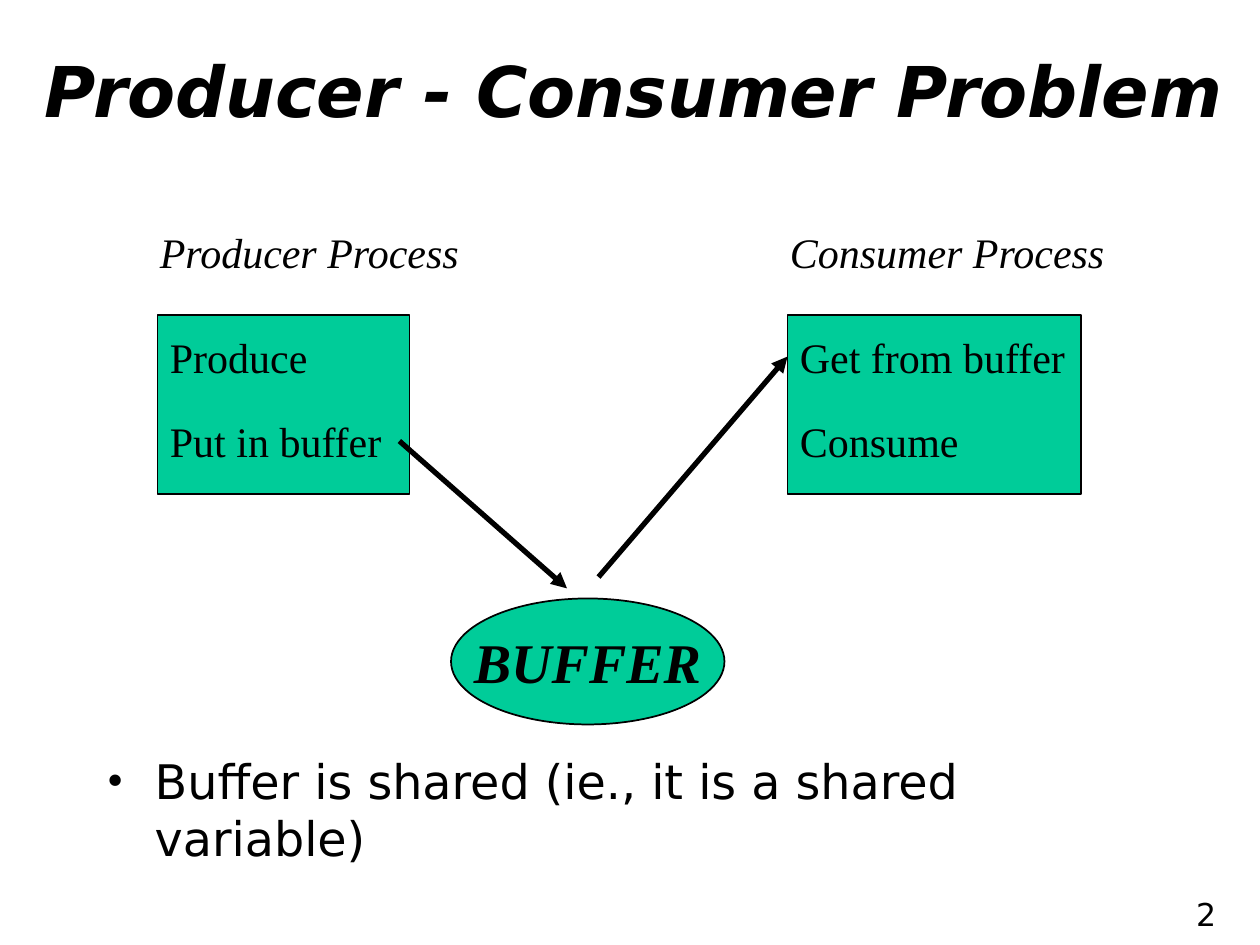
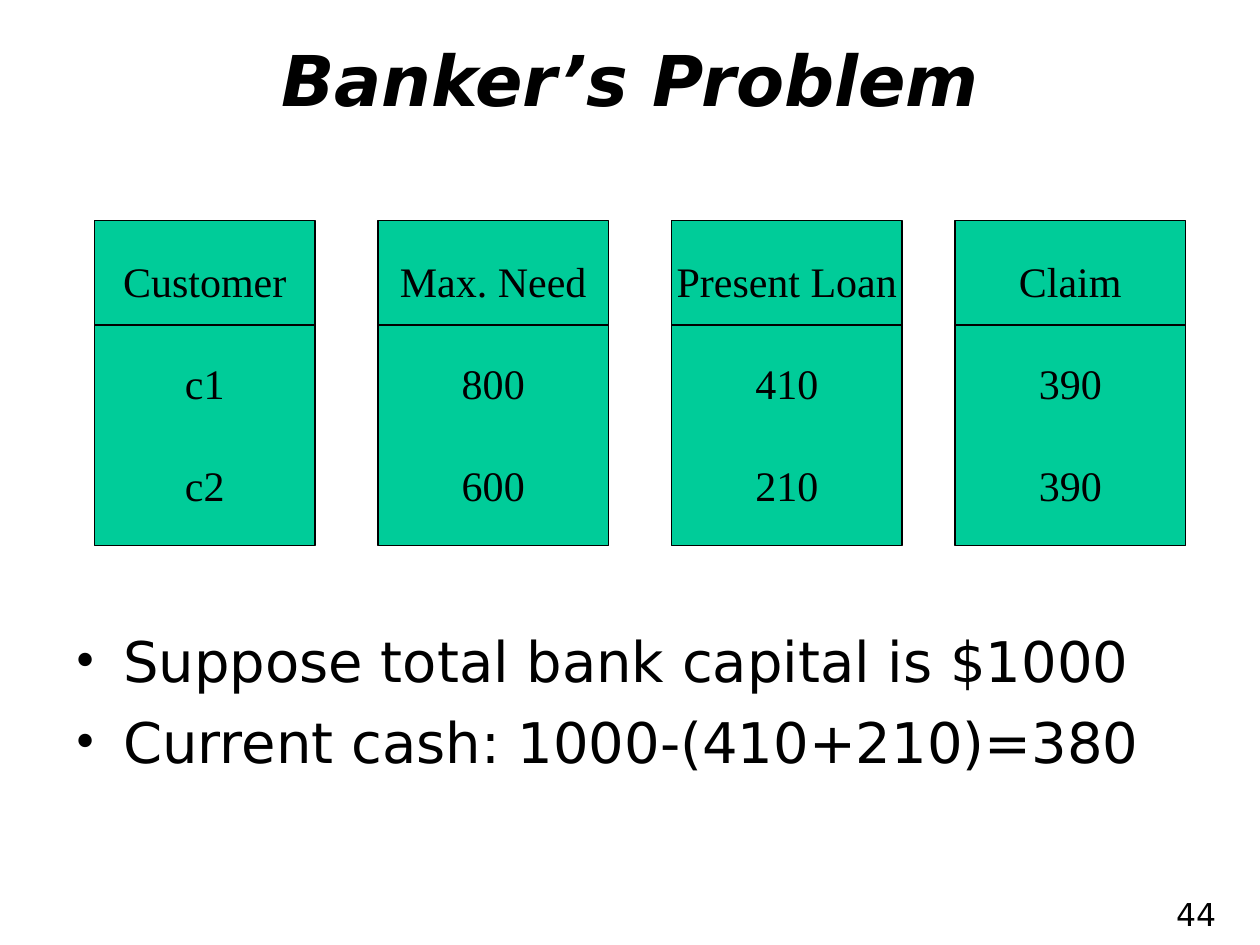
import pptx
import pptx.util
import pptx.dml.color
import pptx.enum.shapes
import pptx.enum.text
import pptx.oxml
import pptx.oxml.ns
import lxml.etree

Inches = pptx.util.Inches
Pt = pptx.util.Pt
Align = pptx.enum.text.PP_ALIGN
Anchor = pptx.enum.text.MSO_ANCHOR
Shape = pptx.enum.shapes.MSO_SHAPE

COLOURS = {"ink": "000000", "panel": "00CC99", "paper": "FFFFFF"}
SANS, SERIF = "DejaVu Sans", "Times New Roman"
TITLE_ONLY = 5
NUMBER_BOX = (7.67, 7, 2.08, 0.5)


def colour(name):
    """Return the named colour."""
    return pptx.dml.color.RGBColor.from_string(COLOURS[name])


def inches(box):
    """Turn a tuple of inches into lengths."""
    return [Inches(value) for value in box]


def add_child(parent, tag, **attributes):
    """Append a drawing element to an XML parent."""
    child = lxml.etree.SubElement(parent, pptx.oxml.ns.qn(tag))
    for key, value in attributes.items():
        child.set(key, value)
    return child


def write(shape, lines, size, font, align=Align.LEFT, anchor=Anchor.TOP,
          wrap=True, space=0, bold=False, italic=False):
    """Fill a shape with one paragraph per line and return its paragraphs."""
    frame = shape.text_frame
    frame.auto_size = pptx.enum.text.MSO_AUTO_SIZE.NONE
    frame.word_wrap = wrap
    frame.vertical_anchor = anchor
    for index, line in enumerate(lines):
        para = frame.add_paragraph() if index else frame.paragraphs[0]
        para.alignment = align
        para.space_before = Pt(space if index else 0)
        span = para.add_run()
        span.text = line
        span.font.name = font
        span.font.size = Pt(size)
        span.font.bold = bold
        span.font.italic = italic
        span.font.color.rgb = colour("ink")
    return frame.paragraphs


def add_text(shapes, box, lines, size, font, **style):
    """Add a text box and return its paragraphs."""
    return write(shapes.add_textbox(*inches(box)), lines, size, font, **style)


def add_panel(shapes, box, kind=Shape.RECTANGLE):
    """Add a green outlined shape."""
    panel = shapes.add_shape(kind, *inches(box))
    panel.shadow.inherit = False
    panel.fill.solid()
    panel.fill.fore_color.rgb = colour("panel")
    panel.line.color.rgb = colour("ink")
    panel.line.width = Pt(1)
    return panel


def add_line(shapes, start, end, width=1, arrow=False):
    """Add a straight line, with an arrowhead at its end if asked."""
    line = shapes.add_connector(pptx.enum.shapes.MSO_CONNECTOR.STRAIGHT,
                                *inches(start + end))
    line.line.color.rgb = colour("ink")
    line.line.width = Pt(width)
    if arrow:
        add_child(line.line._get_or_add_ln(), "a:tailEnd", type="triangle")
    add_child(line._element.spPr, "a:effectLst")


def add_bullets(page, box, lines, size):
    """Add a bulleted list with a hanging indent."""
    for para in add_text(page.shapes, box, lines, size, SANS, space=8):
        properties = para._p.get_or_add_pPr()
        properties.set("marL", str(Inches(0.38)))
        properties.set("indent", str(-Inches(0.38)))
        add_child(properties, "a:buFont", typeface=SERIF)
        add_child(properties, "a:buChar", char="•")


def add_page(deck, title, title_box, number, align=Align.CENTER):
    """Add a slide with its title and page number."""
    page = deck.slides.add_slide(deck.slide_layouts[TITLE_ONLY])
    page.background.fill.solid()
    page.background.fill.fore_color.rgb = colour("paper")
    heading = page.shapes.title
    heading.left, heading.top, heading.width, heading.height = inches(title_box)
    write(heading, [title], 40, SANS, align=align, anchor=Anchor.MIDDLE,
          bold=True, italic=True)
    add_text(page.shapes, NUMBER_BOX, [number], 18, SANS, align=Align.RIGHT,
             anchor=Anchor.MIDDLE)
    return page


def add_process(page, box, name, steps):
    """Add a process panel with its name above and its steps inside."""
    left, top, width, height = box
    add_text(page.shapes, (left - 0.08, top - 0.75, 2.92, 0.5), [name], 24,
             SERIF, italic=True)
    group = page.shapes.add_group_shape()
    add_panel(group.shapes, box)
    for index, step in enumerate(steps):
        step_box = (left, top + 0.08 + 0.67 * index, 2.42, 0.5)
        add_text(group.shapes, step_box, [step], 24, SERIF)


def add_column(page, box, entries):
    """Add a panel of centred entries with a rule under the first."""
    left, top, width, height = box
    group = page.shapes.add_group_shape()
    write(add_panel(group.shapes, box), entries, 24, SERIF, align=Align.CENTER,
          anchor=Anchor.MIDDLE, wrap=False, space=29.5)
    rule = top + 0.83
    add_line(group.shapes, (left, rule), (left + width, rule))


def build_producer_consumer(deck):
    """Build the slide on producer and consumer."""
    page = add_page(deck, "Producer - Consumer Problem",
                    (0.25, 0.42, 9.75, 0.58), "2", Align.LEFT)
    add_bullets(page, (0.75, 5.92, 8.5, 0.75),
                ["Buffer is shared (ie., it is a shared variable)"], 27.2)
    add_process(page, (1.25, 2.5, 2, 1.42), "Producer Process",
                ["Produce", "Put in buffer"])
    add_process(page, (6.25, 2.5, 2.33, 1.42), "Consumer Process",
                ["Get from buffer", "Consume"])
    store = add_panel(page.shapes, (3.58, 4.75, 2.17, 1), Shape.OVAL)
    write(store, ["BUFFER"], 32, SERIF, align=Align.CENTER,
          anchor=Anchor.MIDDLE, wrap=False, bold=True, italic=True)
    add_line(page.shapes, (3.17, 3.5), (4.5, 4.67), 3, arrow=True)
    add_line(page.shapes, (4.75, 4.58), (6.25, 2.83), 3, arrow=True)


def build_banker(deck):
    """Build the slide on the banker's loans."""
    page = add_page(deck, "Banker’s Problem", (0.75, 0.33, 8.5, 0.58), "44")
    add_bullets(page, (0.5, 4.92, 9, 1.5),
                ["Suppose total bank capital is $1000",
                 "Current cash: 1000-(410+210)=380"], 32)
    columns = [(0.75, 1.75, ["Customer", "c1", "c2"]),
               (3, 1.83, ["Max. Need", "800", "600"]),
               (5.33, 1.83, ["Present Loan", "410", "210"]),
               (7.58, 1.83, ["Claim", "390", "390"])]
    for left, width, entries in columns:
        add_column(page, (left, 1.75, width, 2.58), entries)


def main():
    """Build the deck and save it."""
    deck = pptx.Presentation()
    deck.slide_width, deck.slide_height = Inches(10), Inches(7.5)
    build_producer_consumer(deck)
    build_banker(deck)
    deck.save("out.pptx")


if __name__ == "__main__":
    main()
